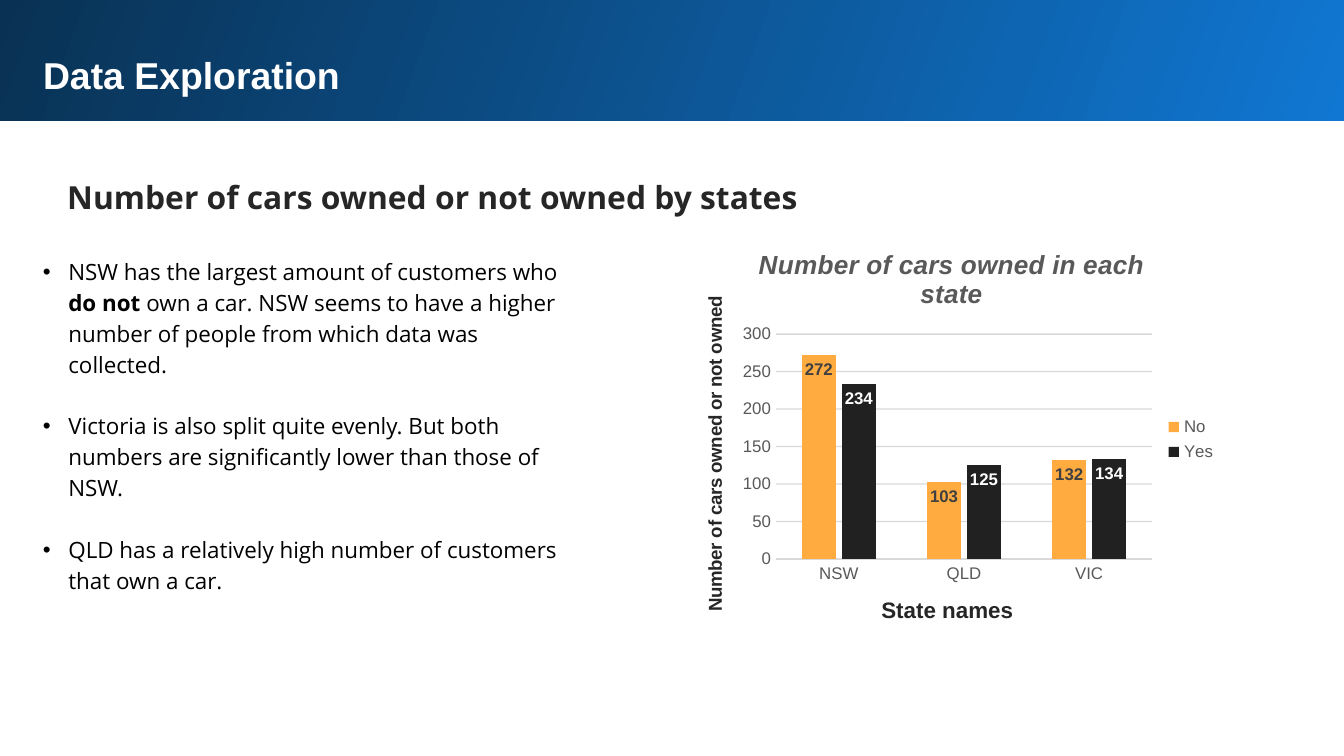
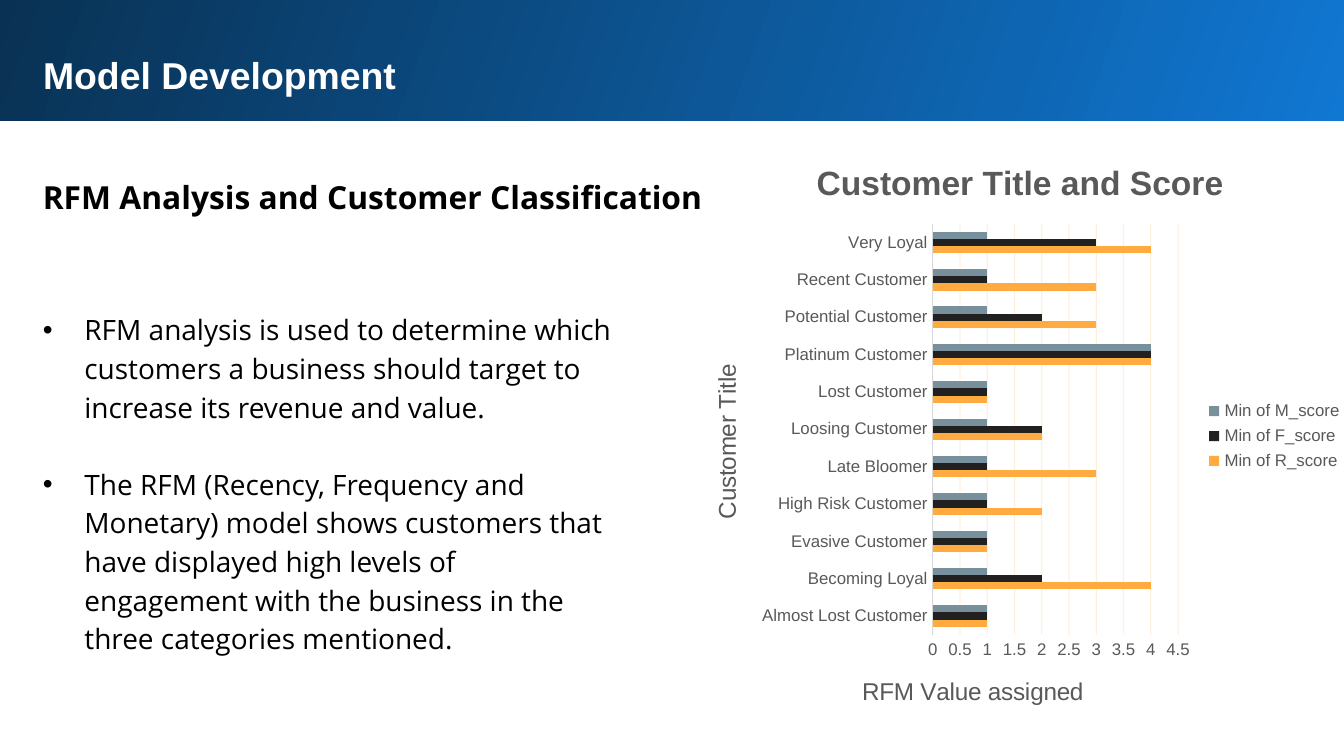
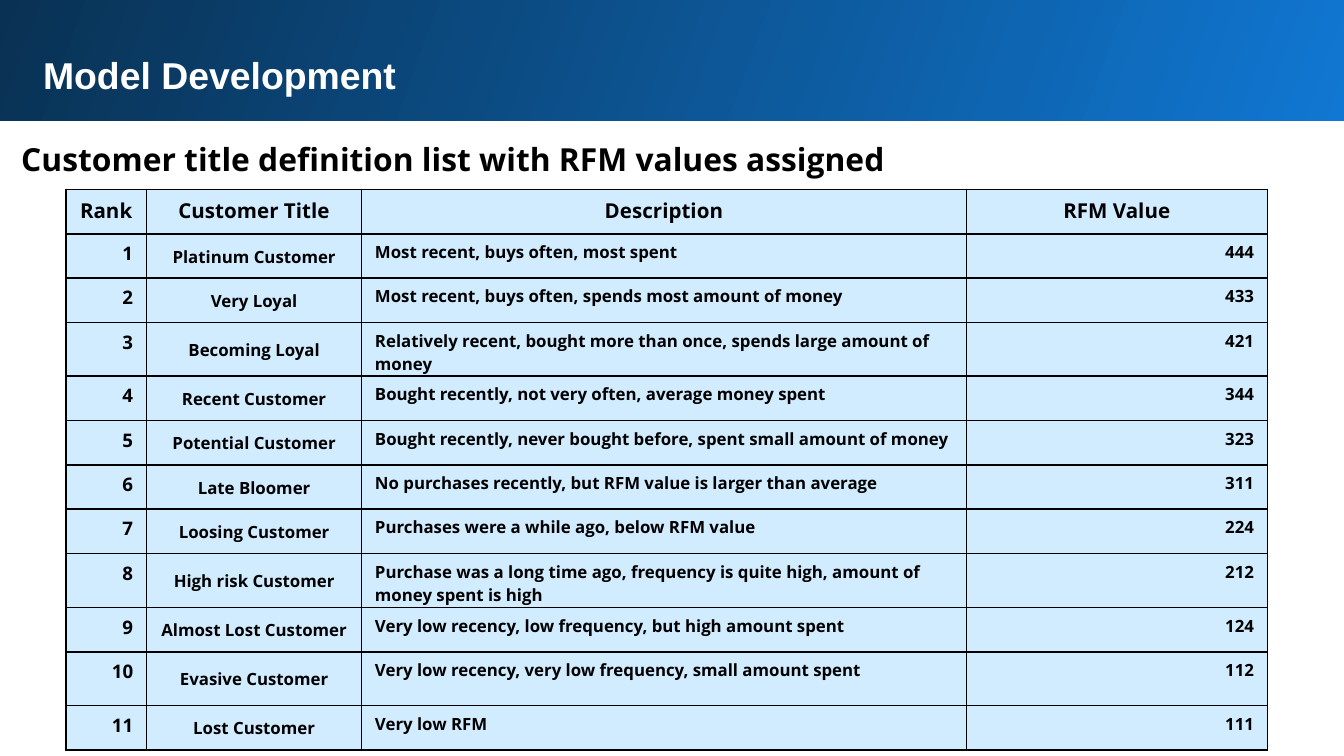
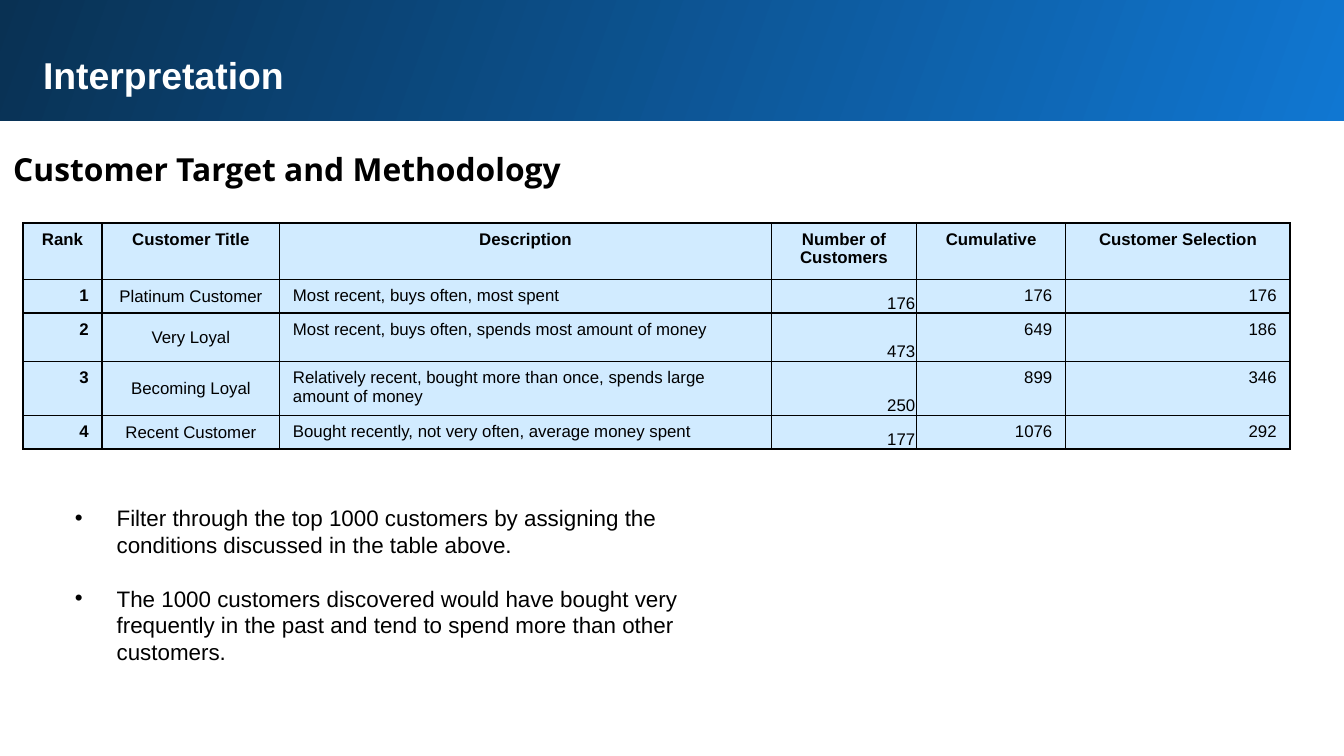
from pptx import Presentation
from pptx.chart.data import CategoryChartData
from pptx.dml.color import RGBColor
from pptx.enum.chart import XL_CHART_TYPE, XL_LABEL_POSITION, XL_LEGEND_POSITION, XL_TICK_MARK
from pptx.enum.shapes import MSO_SHAPE
from pptx.enum.text import MSO_ANCHOR, PP_ALIGN
from pptx.oxml import parse_xml
from pptx.oxml.ns import nsdecls, qn
from pptx.util import Inches, Pt
from lxml import etree

COLORS = {
    "band_light": "1077D2", "band_dark": "093153", "white": "FFFFFF", "black": "000000",
    "ink": "262626", "label": "404040", "gray": "595959", "axis": "D9D9D9",
    "orange": "FFAB40", "charcoal": "212121", "slate": "78909C", "cell": "D1EBFF",
}
SANS, BODY = "Arial", "Open Sans"
WIDTH = 10
HEIGHT = WIDTH * 9 / 16
BAND = (-0.02, -0.02, 10.05, 0.92)
TITLE = (0.22, 0.29, 9.37)

CAR_POINTS = [
    [("NSW has the largest amount of customers who ", False), ("do not ", True),
     ("own a car. NSW seems to have a higher number of people from which data was collected.", False)],
    [("Victoria is also split quite evenly. But both numbers are significantly lower "
      "than those of NSW.", False)],
    [("QLD has a relatively high number of customers that own a car.", False)],
]
RFM_POINTS = [
    [("RFM analysis is used to determine which customers a business should target to "
      "increase its revenue and value.", False)],
    [("The RFM (Recency, Frequency and Monetary) model shows customers that have displayed high "
      "levels of engagement with the business in the three categories mentioned.", False)],
]
TARGET_POINTS = [
    [("Filter through the top 1000 customers by assigning the conditions discussed "
      "in the table above.", False)],
    [("The 1000 customers discovered would have bought very frequently in the past and tend "
      "to spend more than other customers.", False)],
]

CAR_CHART = {
    "kind": XL_CHART_TYPE.COLUMN_CLUSTERED,
    "place": (5.01, 1.69, 4.14, 3.16),
    "plot": (0.185, 0.252, 0.675, 0.53),
    "title": ("Number of cars owned in each state", 14, "gray", True, True),
    "category_title": ("State names", 12, "ink", True, False),
    "value_title": ("Number of cars owned or not owned", 10, "ink", True, False),
    "scale": (300, 50), "grid": ("black", 14), "gap": 150, "overlap": -17,
    "categories": ["NSW", "QLD", "VIC"],
    "series": [("No", [272, 103, 132], "orange", "label"),
               ("Yes", [234, 125, 134], "charcoal", "white")],
}
SCORE_CHART = {
    "kind": XL_CHART_TYPE.BAR_CLUSTERED,
    "place": (5.09, 1.01, 5, 4.47),
    "plot": (0.37, 0.147, 0.365, 0.684),
    "title": ("Customer Title and Score", 18, "gray", True, False),
    "category_title": ("Customer Title", 13, "gray", False, False),
    "value_title": ("RFM Value assigned ", 13, "gray", False, False),
    "scale": (4.5, 0.5), "grid": ("orange", 17), "gap": 219, "overlap": 0,
    "categories": ["Almost Lost Customer", "Becoming Loyal", "Evasive Customer",
                   "High Risk Customer", "Late Bloomer", "Loosing Customer", "Lost Customer",
                   "Platinum Customer", "Potential Customer", "Recent Customer", "Very Loyal"],
    "series": [("Min of R_score", [1, 4, 1, 2, 3, 2, 1, 4, 3, 3, 4], "orange", None),
               ("Min of F_score", [1, 2, 1, 1, 1, 2, 1, 4, 2, 1, 3], "charcoal", None),
               ("Min of M_score", [1, 1, 1, 1, 1, 1, 1, 4, 1, 1, 1], "slate", None)],
}

CUSTOMERS = [
    ("Platinum Customer", "Most recent, buys often, most spent", 444),
    ("Very Loyal", "Most recent, buys often, spends most amount of money", 433),
    ("Becoming Loyal", "Relatively recent, bought more than once, spends large amount of money", 421),
    ("Recent Customer", "Bought recently, not very often, average money spent", 344),
    ("Potential Customer", "Bought recently, never bought before, spent small amount of money", 323),
    ("Late Bloomer", "No purchases recently, but RFM value is larger than average", 311),
    ("Loosing Customer", "Purchases were a while ago, below RFM value", 224),
    ("High risk Customer",
     "Purchase was a long time ago, frequency is quite high, amount of money spent is high", 212),
    ("Almost Lost Customer", "Very low recency, low frequency, but high amount spent", 124),
    ("Evasive Customer", "Very low recency, very low frequency, small amount spent", 112),
    ("Lost Customer", "Very low RFM", 111),
]
SELECTIONS = [(176, 176, 176), (473, 649, 186), (250, 899, 346), (177, 1076, 292)]

LEFT, CENTER, RIGHT = PP_ALIGN.LEFT, PP_ALIGN.CENTER, PP_ALIGN.RIGHT
TOP, MIDDLE, BOTTOM = MSO_ANCHOR.TOP, MSO_ANCHOR.MIDDLE, MSO_ANCHOR.BOTTOM
ROOMY, SNUG, TIGHT = (0.1, 0.05, 0.1, 0.05), (0.1, 0.05, 0.1, 0.01), (0.01, 0.01, 0.01, 0)
EVEN = (0.1, 0.1, 0.1, 0.1)

DEFINITION_TABLE = {
    "corner": (0.49, 1.41), "font": BODY, "header_size": 11,
    "columns": [0.6, 1.6, 4.5, 2.24],
    "rows": [0.4 if row in (3, 8, 10) else 0.33 for row in range(12)],
    "header": ["Rank", "Customer Title", "Description", "RFM Value"],
    "body": [(rank, *customer) for rank, customer in enumerate(CUSTOMERS, 1)],
    "styles": [(RIGHT, TOP, SNUG, 10, True), (CENTER, MIDDLE, TIGHT, 9, True),
               (LEFT, TOP, SNUG, 9, True), (RIGHT, TOP, SNUG, 9, True)],
}
TARGET_TABLE = {
    "corner": (0.17, 1.66), "font": SANS, "header_size": 9,
    "columns": [0.59, 1.32, 3.66, 1.08, 1.11, 1.67],
    "rows": [0.42, 0.25, 0.36, 0.4, 0.25],
    "header": ["Rank", "Customer Title", "Description", "Number of Customers",
               "Cumulative", "Customer Selection"],
    "body": [(rank, *customer[:2], *counts)
             for rank, (customer, counts) in enumerate(zip(CUSTOMERS, SELECTIONS), 1)],
    "styles": [(RIGHT, TOP, ROOMY, 9, True), (CENTER, MIDDLE, TIGHT, 9, False),
               (LEFT, TOP, ROOMY, 9, False), (RIGHT, BOTTOM, TIGHT, 9, False),
               (RIGHT, TOP, ROOMY, 9, False), (RIGHT, TOP, ROOMY, 9, False)],
}


def rgb(name):
    return RGBColor.from_string(COLORS[name])


def inches(values):
    return [Inches(value) for value in values]


def style_font(font, name, size, color, bold=False, italic=False):
    font.name, font.size, font.bold, font.italic = name, Pt(size), bold, italic
    font.color.rgb = rgb(color)


def set_margins(target, margins):
    (target.margin_left, target.margin_top,
     target.margin_right, target.margin_bottom) = inches(margins)


def add_page(title, title_height=0.51):
    page = deck.slides.add_slide(deck.slide_layouts[5])
    band = page.shapes.add_shape(MSO_SHAPE.RECTANGLE, *inches(BAND))
    band.shadow.inherit = False
    band.line.fill.background()
    band.fill.gradient()
    band.fill.gradient_angle = 160
    for stop, position, color in zip(band.fill.gradient_stops, (0, 1), ("band_light", "band_dark")):
        stop.position, stop.color.rgb = position, rgb(color)
    page.shapes._spTree.insert(2, band._element)
    box = page.shapes.title
    box.left, box.top, box.width, box.height = inches((*TITLE, title_height))
    frame = box.text_frame
    frame.text = title
    frame.vertical_anchor = TOP
    set_margins(frame, EVEN)
    para = frame.paragraphs[0]
    para.alignment = LEFT
    style_font(para.font, SANS, 20, "white", True)
    return page


def add_frame(page, place, margins):
    frame = page.shapes.add_textbox(*inches(place)).text_frame
    frame.word_wrap = True
    set_margins(frame, margins)
    return frame


def add_heading(page, text, place, color="black", alignment=LEFT):
    para = add_frame(page, place, EVEN).paragraphs[0]
    para.text, para.alignment, para.line_spacing = text, alignment, 1.15
    style_font(para.font, BODY, 17, color, True)


def add_bullets(page, points, place, font, size, indent, spacing, gap, margins):
    frame = add_frame(page, place, margins)
    for index, spans in enumerate(points):
        para = frame.paragraphs[0] if index == 0 else frame.add_paragraph()
        properties = para._p.get_or_add_pPr()
        properties.set("marL", str(Inches(indent)))
        properties.set("indent", str(-Inches(indent)))
        etree.SubElement(properties, qn("a:buFont")).set("typeface", SANS)
        etree.SubElement(properties, qn("a:buChar")).set("char", "•")
        para.line_spacing = spacing
        if index:
            para.space_before = Pt(gap)
        style_font(para.font, font, size, "black")
        for text, bold in spans:
            span = para.add_run()
            span.text = text
            if bold:
                span.font.bold = True


def title_chart_part(part, text, size, color, bold, italic):
    frame = (part.chart_title if hasattr(part, "chart_title") else part.axis_title).text_frame
    frame.text = text
    style_font(frame.paragraphs[0].font, SANS, size, color, bold, italic)


def place_plot(chart, shares):
    area = chart._chartSpace.chart.plotArea
    for layout in area.findall(qn("c:layout")):
        area.remove(layout)
    sizes = "".join(f'<c:{tag} val="{share}"/>' for tag, share in zip("xywh", shares))
    area.insert(0, parse_xml(
        f'<c:layout {nsdecls("c")}><c:manualLayout><c:layoutTarget val="inner"/>'
        f'<c:xMode val="edge"/><c:yMode val="edge"/>{sizes}</c:manualLayout></c:layout>'))


def add_bar_chart(page, content):
    data = CategoryChartData()
    data.categories = content["categories"]
    for name, values, *colors in content["series"]:
        data.add_series(name, values)
    chart = page.shapes.add_chart(content["kind"], *inches(content["place"]), data).chart
    style_font(chart.font, SANS, 10, "black")
    title_chart_part(chart, *content["title"])
    place_plot(chart, content["plot"])

    chart.has_legend = True
    chart.legend.position = XL_LEGEND_POSITION.RIGHT
    chart.legend.include_in_layout = False
    style_font(chart.legend.font, SANS, 9, "gray")

    categories, values = chart.category_axis, chart.value_axis
    for axis, key in ((categories, "category_title"), (values, "value_title")):
        title_chart_part(axis, *content[key])
        axis.major_tick_mark = axis.minor_tick_mark = XL_TICK_MARK.NONE
        style_font(axis.tick_labels.font, SANS, 9, "gray")
    categories.format.line.color.rgb = rgb("axis")
    categories.format.line.width = Pt(0.75)
    values.format.line.fill.background()
    values.minimum_scale = 0
    values.maximum_scale, values.major_unit = content["scale"]
    values.has_major_gridlines = True
    grid = values.major_gridlines.format.line
    color, opacity = content["grid"]
    grid.color.rgb, grid.width = rgb(color), Pt(0.75)
    for element in values.major_gridlines._xAx.majorGridlines.iter(qn("a:srgbClr")):
        etree.SubElement(element, qn("a:alpha")).set("val", str(opacity * 1000))

    plot = chart.plots[0]
    plot.vary_by_categories = False
    plot.gap_width, plot.overlap = content["gap"], content["overlap"]
    for series, (name, numbers, fill, label) in zip(plot.series, content["series"]):
        series.format.fill.solid()
        series.format.fill.fore_color.rgb = rgb(fill)
        if label:
            labels = series.data_labels
            labels.show_value = True
            labels.position = XL_LABEL_POSITION.INSIDE_END
            style_font(labels.font, SANS, 9, label, True)


def outline_cell(cell):
    properties = cell._tc.get_or_add_tcPr()
    for index, side in enumerate(("lnL", "lnR", "lnT", "lnB")):
        properties.insert(index, parse_xml(
            f'<a:{side} {nsdecls("a")} w="{Pt(1)}"><a:solidFill>'
            f'<a:srgbClr val="{COLORS["black"]}"/></a:solidFill></a:{side}>'))


def add_grid(page, content):
    columns, rows = content["columns"], content["rows"]
    place = (*content["corner"], sum(columns), sum(rows))
    table = page.shapes.add_table(len(rows), len(columns), *inches(place)).table
    table.first_row = table.horz_banding = False
    for column, width in zip(table.columns, columns):
        column.width = Inches(width)
    header_style = (CENTER, TOP, ROOMY, content["header_size"], True)
    for row_index, texts in enumerate([content["header"], *content["body"]]):
        table.rows[row_index].height = Inches(rows[row_index])
        for column_index, text in enumerate(texts):
            style = content["styles"][column_index] if row_index else header_style
            alignment, anchor, margins, size, bold = style
            cell = table.cell(row_index, column_index)
            cell.text = str(text)
            cell.vertical_anchor = anchor
            set_margins(cell, margins)
            cell.fill.solid()
            cell.fill.fore_color.rgb = rgb("cell")
            outline_cell(cell)
            para = cell.text_frame.paragraphs[0]
            para.alignment = alignment
            style_font(para.font, content["font"], size, "black", bold)


deck = Presentation()
deck.slide_width, deck.slide_height = inches((WIDTH, HEIGHT))

page = add_page("Data Exploration")
add_heading(page, "Number of cars owned or not owned by states ", (0.22, 1.18, 6.06, 0.51), "ink", CENTER)
add_bullets(page, CAR_POINTS, (0.22, 1.79, 4.21, 2.74), BODY, 12, 0.19, 1.15, 16.6, EVEN)
add_bar_chart(page, CAR_CHART)

page = add_page("Model Development")
add_heading(page, "RFM Analysis and Customer Classification ", (0.22, 1.18, 6.14, 0.51))
add_bullets(page, RFM_POINTS, (0.22, 2.19, 4.52, 2.8), BODY, 15, 0.31, 1.15, 20.7, EVEN)
add_bar_chart(page, SCORE_CHART)

page = add_page("Model Development")
add_heading(page, "Customer title definition list with RFM values assigned ", (0.06, 0.9, 9.37, 0.51))
add_grid(page, DEFINITION_TABLE)

page = add_page("Interpretation", 0.83)
add_heading(page, "Customer Target and Methodology", (0, 0.97, 9.37, 0.51))
add_grid(page, TARGET_TABLE)
add_bullets(page, TARGET_POINTS, (0.46, 3.7, 5.24, 1.31), SANS, 12, 0.31, 1, 14.5, ROOMY)

deck.save("out.pptx")
